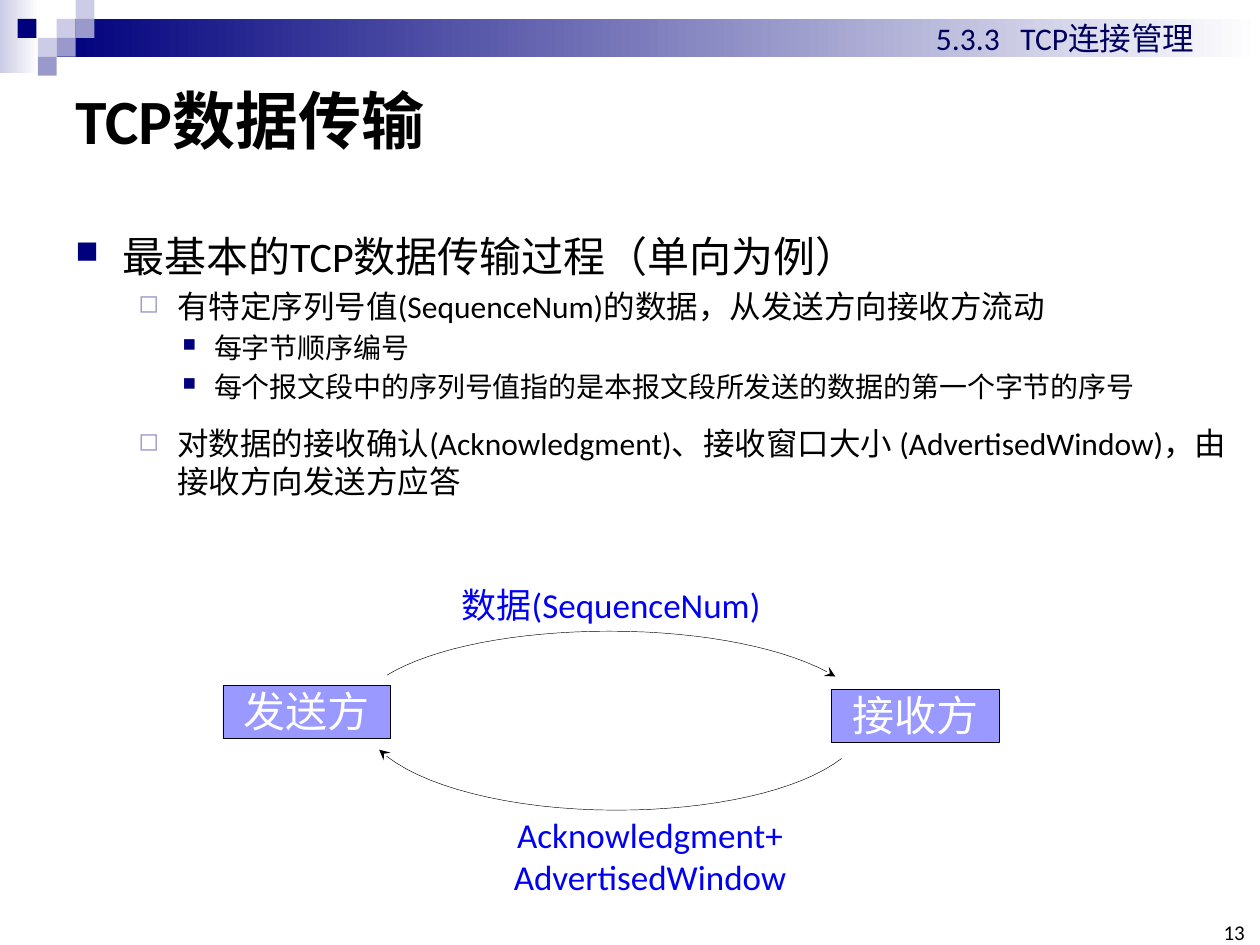
from dataclasses import dataclass

from lxml import etree
from pptx import Presentation
from pptx.dml.color import RGBColor
from pptx.enum.shapes import MSO_SHAPE
from pptx.enum.text import MSO_ANCHOR, PP_ALIGN
from pptx.oxml.ns import qn
from pptx.util import Inches, Pt

RECTANGLE = MSO_SHAPE.RECTANGLE
TOP, MIDDLE, BOTTOM = MSO_ANCHOR.TOP, MSO_ANCHOR.MIDDLE, MSO_ANCHOR.BOTTOM
LEFT, CENTER, RIGHT = PP_ALIGN.LEFT, PP_ALIGN.CENTER, PP_ALIGN.RIGHT
COLUMNS, ROWS = 100, 75
TILE = 1.5
CURVE_STEPS = 16


@dataclass(frozen=True)
class Theme:
    """Colours, type sizes and font of the slide."""
    font: str = "Calibri"
    black: str = "000000"
    white: str = "FFFFFF"
    navy: str = "00007D"
    header: str = "00005E"
    mid: str = "9999CC"
    pale: str = "CCCCE6"
    node: str = "9999FF"
    label: str = "0000F4"
    title_size: int = 36
    large_size: int = 24
    label_size: int = 20
    medium_size: int = 18
    small_size: int = 16
    number_size: int = 12
    line_width: float = 0.25


THEME = Theme()
BULLET_LEVELS = (
    {"size": THEME.large_size, "margin": 0.37, "hang": 0.37, "mark": "■",
     "color": THEME.navy, "percent": 75, "line_spacing": 1.5},
    {"size": THEME.medium_size, "margin": 0.81, "hang": 0.31, "mark": "◻",
     "color": THEME.mid, "percent": 80, "line_spacing": 1.0},
    {"size": THEME.small_size, "margin": 1.1, "hang": 0.25, "mark": "■",
     "color": THEME.navy, "percent": 65, "line_spacing": 1.0},
)
BULLETS = (
    (0, "最基本的TCP数据传输过程（单向为例）", 0),
    (1, "有特定序列号值(SequenceNum)的数据，从发送方向接收方流动", 3.6),
    (2, "每字节顺序编号", 3.2),
    (2, "每个报文段中的序列号值指的是本报文段所发送的数据的第一个字节的序号", 3.2),
    (1, "对数据的接收确认(Acknowledgment)、接收窗口大小 (AdvertisedWindow)，由接收方向发送方应答", 12),
)
TILES = (
    (3, 1, THEME.pale), (4, 0, THEME.pale), (4, 1, THEME.mid), (2, 2, THEME.pale),
    (0.93, 1, THEME.navy), (3, 2, THEME.mid), (2, 3, THEME.mid),
)
GRADIENTS = (
    ((0, 0, 3.1, 5.8), (THEME.pale, THEME.white)),
    ((4.5, 1.5, 95.5, 3), (THEME.navy, THEME.white)),
)
NODES = (((17.7, 54.4, 13.3, 4.2), "发送方"), ((66, 54.7, 13.3, 4.2), "接收方"))
ARROWS = (
    ((30.7, 53.6), (34.3, 51.4), (41, 50.1), (48.4, 50.1),
     (55.9, 50.1), (62.7, 51.5), (66.3, 53.7)),
    ((66.8, 60.2), (63.4, 62.8), (56.5, 64.3), (48.9, 64.3),
     (40.6, 64.3), (33.1, 62.4), (30.1, 59.5)),
)


def apply(target, values):
    """Set each named attribute of the target."""
    for name, value in values.items():
        setattr(target, name, value)


def add_element(parent, tag, **attributes):
    """Append a drawing element and return it."""
    return etree.SubElement(parent, qn(tag), attributes)


def curve_points(knots):
    """Return points along a chain of cubic curves."""
    points = [knots[0]]
    for first in range(0, len(knots) - 1, 3):
        a, b, c, d = knots[first:first + 4]
        for step in range(1, CURVE_STEPS + 1):
            t = step / CURVE_STEPS
            weights = ((1 - t) ** 3, 3 * t * (1 - t) ** 2, 3 * t ** 2 * (1 - t), t ** 3)
            points.append(tuple(
                sum(weight * knot[axis] for weight, knot in zip(weights, (a, b, c, d)))
                for axis in (0, 1)))
    return points


class SlideBuilder:
    """Places styled elements on a slide by grid columns and rows."""

    def __init__(self, presentation, theme):
        """Add a blank slide and derive the grid from the slide size."""
        self.theme = theme
        self.slide = presentation.slides.add_slide(presentation.slide_layouts[6])
        self.column = presentation.slide_width / COLUMNS
        self.row = presentation.slide_height / ROWS

    def place(self, x, y):
        """Convert a grid position or extent to slide units."""
        return round(x * self.column), round(y * self.row)

    def frame(self, area):
        """Convert left, top, width and height to slide units."""
        return self.place(*area[:2]) + self.place(*area[2:])

    def block(self, area, colors, outline=False):
        """Add a rectangle with one fill colour or a gradient of two."""
        shape = self.slide.shapes.add_shape(RECTANGLE, *self.frame(area))
        shape.shadow.inherit = False
        if len(colors) > 1:
            shape.fill.gradient()
            shape.fill.gradient_angle = 0
            for stop, color in zip(shape.fill.gradient_stops, colors):
                stop.color.rgb = RGBColor.from_string(color)
        else:
            shape.fill.solid()
            shape.fill.fore_color.rgb = RGBColor.from_string(colors[0])
        if outline:
            self.outline(shape)
        else:
            shape.line.fill.background()
        return shape

    def outline(self, shape):
        """Give a shape the thin black line."""
        shape.line.color.rgb = RGBColor.from_string(self.theme.black)
        shape.line.width = Pt(self.theme.line_width)

    def text_box(self, area):
        """Add an empty text box."""
        return self.slide.shapes.add_textbox(*self.frame(area))

    def run(self, paragraph, text, size, color, bold=False):
        """Add a styled run to a paragraph."""
        run = paragraph.add_run()
        run.text = text
        apply(run.font, {"name": self.theme.font, "size": Pt(size), "bold": bold})
        run.font.color.rgb = RGBColor.from_string(color)

    def fill_text(self, shape, lines, size, color, align=LEFT, anchor=TOP,
                  inset=True, bold=False, tab=None):
        """Fill a shape with equally styled lines of text."""
        frame = shape.text_frame
        apply(frame, {"word_wrap": True, "vertical_anchor": anchor})
        if not inset:
            apply(frame, dict.fromkeys(
                ("margin_left", "margin_top", "margin_right", "margin_bottom"), 0))
        for index, line in enumerate(lines):
            paragraph = frame.add_paragraph() if index else frame.paragraphs[0]
            paragraph.alignment = align
            if tab:
                stops = add_element(paragraph._p.get_or_add_pPr(), "a:tabLst")
                add_element(stops, "a:tab", pos=str(Inches(tab)), algn="l")
            self.run(paragraph, line, size, color, bold)

    def bullets(self, area, items):
        """Add a text box with a multilevel bullet list."""
        frame = self.text_box(area).text_frame
        frame.word_wrap = True
        for index, (level, text, space) in enumerate(items):
            style = BULLET_LEVELS[level]
            paragraph = frame.add_paragraph() if index else frame.paragraphs[0]
            properties = paragraph._p.get_or_add_pPr()
            properties.set("marL", str(Inches(style["margin"])))
            properties.set("indent", str(-Inches(style["hang"])))
            color = add_element(properties, "a:buClr")
            add_element(color, "a:srgbClr", val=style["color"])
            add_element(properties, "a:buSzPct", val=str(style["percent"] * 1000))
            add_element(properties, "a:buChar", char=style["mark"])
            apply(paragraph, {"level": level, "space_before": Pt(space),
                              "line_spacing": style["line_spacing"]})
            self.run(paragraph, text, style["size"], self.theme.black)

    def curved_arrow(self, knots):
        """Add an open curve that ends in a stealth arrowhead."""
        start, *points = [self.place(*point) for point in curve_points(knots)]
        builder = self.slide.shapes.build_freeform(*start)
        builder.add_line_segments(points, close=False)
        shape = builder.convert_to_shape()
        shape.shadow.inherit = False
        shape.fill.background()
        self.outline(shape)
        add_element(shape.line._get_or_add_ln(), "a:tailEnd", type="stealth")


def main():
    """Build the slide and save it."""
    presentation = Presentation()
    apply(presentation, {"slide_width": Inches(10), "slide_height": Inches(7.5)})
    builder = SlideBuilder(presentation, THEME)
    for area, colors in GRADIENTS:
        builder.block(area, colors)
    for column, row, color in TILES:
        builder.block((column * TILE, row * TILE, TILE, TILE), (color,))
    builder.fill_text(builder.text_box((5, 5, 90, 8.9)), ["TCP数据传输"],
                      THEME.title_size, THEME.black, anchor=MIDDLE, bold=True)
    builder.bullets((5, 15.8, 93.8, 23.4), BULLETS)
    builder.fill_text(builder.text_box((96.5, 73.3, 2.3, 1.7)), ["13"],
                      THEME.number_size, THEME.black, RIGHT, BOTTOM, inset=False)
    builder.fill_text(builder.text_box((73.3, 1, 25.5, 4)), ["5.3.3\tTCP连接管理"],
                      THEME.medium_size, THEME.header, tab=0.67)
    for area, name in NODES:
        builder.fill_text(builder.block(area, (THEME.node,), outline=True), [name],
                          THEME.large_size, THEME.white, CENTER, inset=False)
    for knots in ARROWS:
        builder.curved_arrow(knots)
    builder.fill_text(builder.text_box((33, 46.3, 31, 4.2)), ["数据(SequenceNum)"],
                      THEME.label_size, THEME.label, CENTER, inset=False)
    builder.fill_text(builder.block((34.6, 64.6, 34, 9.5), (THEME.white,)),
                      ["Acknowledgment+", "AdvertisedWindow"],
                      THEME.label_size, THEME.label, CENTER, inset=False)
    presentation.save("out.pptx")


if __name__ == "__main__":
    main()
